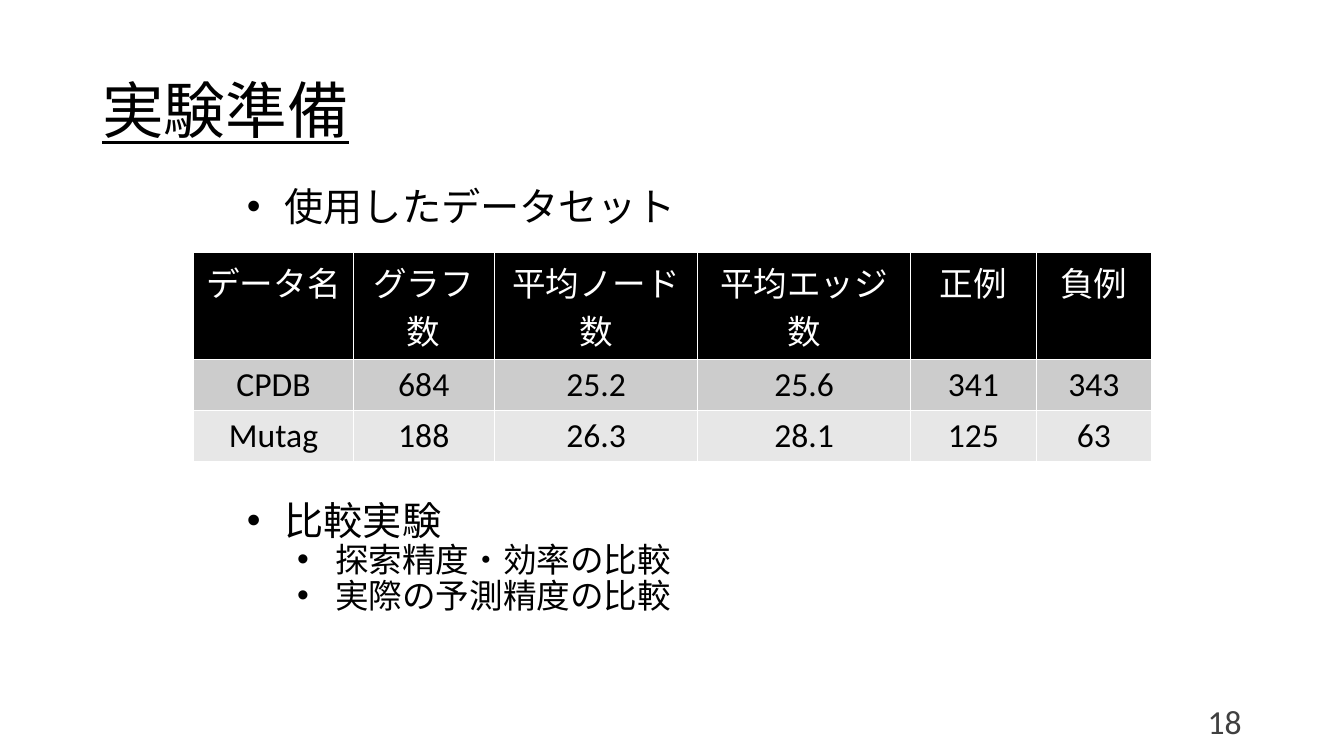
from lxml import etree
from pptx import Presentation
from pptx import util as u
from pptx.dml import color
from pptx.enum import text
from pptx.oxml import ns

BLACK, WHITE, GREY = "000000", "FFFFFF", "404040"
TITLE = "実験準備"
PAGE_NUMBER = "18"
DATASET_POINTS = [(0, "使用したデータセット")]
EXPERIMENT_POINTS = [
    (0, "比較実験"),
    (1, "探索精度・効率の比較"),
    (1, "実際の予測精度の比較"),
]
DATASETS = [
    ("データ名", "グラフ数", "平均ノード数", "平均エッジ数", "正例", "負例"),
    ("CPDB", "684", "25.2", "25.6", "341", "343"),
    ("Mutag", "188", "26.3", "28.1", "125", "63"),
]
COLUMN_WIDTHS = [113.8, 100.8, 145.4, 151.9, 90, 82.1]
ROW_HEIGHTS = [76.7, 36.5, 36.5]
ROW_COLOURS = [("000000", WHITE), ("CCCCCC", BLACK), ("E7E7E7", BLACK)]
LEVELS = [(28, "Calibri", 27, 10), (24, "Arial", 63, 2.5)]
HANGING = 27


def rgb(value):
    return color.RGBColor.from_string(value)


def add_span(para, words, size, colour, font="Calibri"):
    span = para.add_run()
    span.text = words
    span.font.size = u.Pt(size)
    span.font.name = font
    span.font.color.rgb = rgb(colour)
    return span


def add_frame(page, left, top, width, height, anchor=text.MSO_ANCHOR.TOP):
    box = page.shapes.add_textbox(u.Pt(left), u.Pt(top), u.Pt(width), u.Pt(height))
    box.text_frame.word_wrap = True
    box.text_frame.vertical_anchor = anchor
    return box.text_frame


def add_bullet(para, indent):
    props = para._p.get_or_add_pPr()
    props.set("marL", str(u.Pt(indent)))
    props.set("indent", str(-u.Pt(HANGING)))
    etree.SubElement(props, ns.qn("a:buFont")).set("typeface", "Arial")
    etree.SubElement(props, ns.qn("a:buChar")).set("char", "•")


def add_points(page, points, top, height):
    frame = add_frame(page, 169.2, top, 620.6, height)
    for index, (level, words) in enumerate(points):
        size, font, indent, gap = LEVELS[level]
        para = frame.add_paragraph() if index else frame.paragraphs[0]
        para.level = level
        add_bullet(para, indent)
        para.line_spacing = 0.81
        para.space_before = u.Pt(gap if index else 0)
        add_span(para, words, size, BLACK, font)


def add_dataset_table(page):
    table = page.shapes.add_table(
        len(DATASETS), len(COLUMN_WIDTHS), u.Pt(138.5), u.Pt(180),
        u.Pt(sum(COLUMN_WIDTHS)), u.Pt(sum(ROW_HEIGHTS))).table
    for column, width in zip(table.columns, COLUMN_WIDTHS):
        column.width = u.Pt(width)
    for row, height, values, (fill, ink) in zip(table.rows, ROW_HEIGHTS, DATASETS, ROW_COLOURS):
        row.height = u.Pt(height)
        for cell, value in zip(row.cells, values):
            cell.fill.solid()
            cell.fill.fore_color.rgb = rgb(fill)
            para = cell.text_frame.paragraphs[0]
            para.alignment = text.PP_ALIGN.CENTER
            add_span(para, value, 24, ink).font.bold = False


def main():
    deck = Presentation()
    deck.slide_width, deck.slide_height = u.Pt(960), u.Pt(540)
    page = deck.slides.add_slide(deck.slide_layouts[6])

    title = add_frame(page, 66, 28.8, 828, 104.4, text.MSO_ANCHOR.MIDDLE).paragraphs[0]
    title.line_spacing = 0.9
    add_span(title, TITLE, 44, BLACK).font.underline = True

    add_points(page, DATASET_POINTS, 133.2, 42)
    add_points(page, EXPERIMENT_POINTS, 357.2, 110)

    number = add_frame(page, 678, 500.5, 216, 28.8, text.MSO_ANCHOR.MIDDLE).paragraphs[0]
    number.alignment = text.PP_ALIGN.RIGHT
    add_span(number, PAGE_NUMBER, 24, GREY)

    add_dataset_table(page)
    deck.save("out.pptx")


if __name__ == "__main__":
    main()
